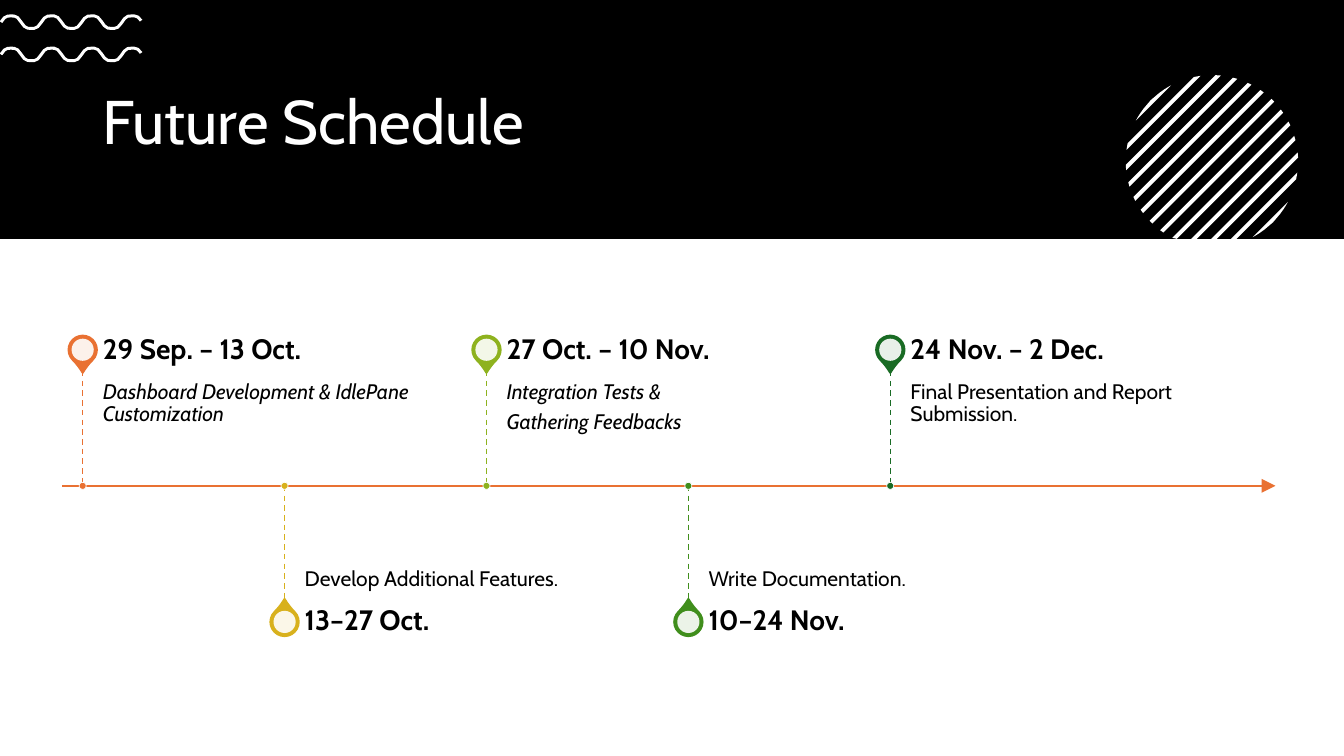
"""Build the Future Schedule timeline slide."""
import dataclasses
import math

import pptx
import pptx.dml.color
import pptx.enum.dml
import pptx.enum.shapes
import pptx.enum.text
import pptx.oxml.ns
import pptx.util
from lxml import etree
from pptx.util import Inches

ANCHOR = pptx.enum.text.MSO_ANCHOR
SHAPE = pptx.enum.shapes.MSO_SHAPE


@dataclasses.dataclass(frozen=True)
class Theme:
    """Hold the colours, font and type sizes of the slide."""
    font: str = "Cabin"
    black: str = "000000"
    white: str = "FFFFFF"
    axis: str = "E97132"
    title_size: int = 44
    date_size: int = 20
    body_size: int = 15


THEME = Theme()
AXIS_Y = 4.82
FIRST_X = 0.82
LAST_X = 8.83
BAND_HEIGHT = 2.37
MILESTONES = [
    ("29 Sep. – 13 Oct.", ["Dashboard Development & IdlePane Customization"], True, "E97132"),
    ("13–27 Oct.", ["Develop Additional Features."], False, "D8B11D"),
    ("27 Oct. – 10 Nov.", ["Integration Tests &", "Gathering Feedbacks"], True, "8EB21E"),
    ("10–24 Nov.", ["Write Documentation."], False, "408E1C"),
    ("24 Nov. – 2 Dec.", ["Final Presentation and Report Submission."], False, "196B24"),
]


def apply(target, values):
    """Set each named attribute on the target."""
    for name, value in values.items():
        setattr(target, name, value)


def rgb(code):
    """Turn a hex code into a colour."""
    return pptx.dml.color.RGBColor.from_string(code)


def add_effect(parent, tag, **attributes):
    """Append a DrawingML element to the parent."""
    return etree.SubElement(parent, pptx.oxml.ns.qn(tag), attributes)


def paint(shape, fill, line=None, width=1):
    """Give a shape a flat fill and an optional outline."""
    shape.shadow.inherit = False
    shape.fill.solid()
    shape.fill.fore_color.rgb = rgb(fill)
    if line:
        shape.line.color.rgb = rgb(line)
        shape.line.width = pptx.util.Pt(width)
    else:
        shape.line.fill.background()
    return shape


def add_centred(page, kind, x, y, size):
    """Add a square preset shape around a centre point."""
    return page.shapes.add_shape(
        kind, Inches(x - size / 2), Inches(y - size / 2), Inches(size), Inches(size))


def add_line(page, start, end, colour, width):
    """Add a straight connector without a shadow."""
    line = page.shapes.add_connector(
        pptx.enum.shapes.MSO_CONNECTOR.STRAIGHT, *map(Inches, start + end))
    line.line.color.rgb = rgb(colour)
    line.line.width = pptx.util.Pt(width)
    add_effect(line.element.spPr, "a:effectLst")
    return line


def add_outline(page, points):
    """Add a white closed outline through the points."""
    corners = [(Inches(x), Inches(y)) for x, y in points]
    builder = page.shapes.build_freeform(*corners[0])
    builder.add_line_segments(corners[1:], close=True)
    paint(builder.convert_to_shape(), THEME.white)


def write(box, lines, frame_format, font_format):
    """Fill a text frame with formatted paragraphs."""
    frame = box.text_frame
    apply(frame, {"word_wrap": True, **frame_format})
    for number, line in enumerate(lines):
        para = frame.add_paragraph() if number else frame.paragraphs[0]
        apply(para, {"alignment": pptx.enum.text.PP_ALIGN.LEFT, "line_spacing": 0.9,
                     "space_before": pptx.util.Pt(5.5 if number else 0)})
        span = para.add_run()
        span.text = line
        font = {"name": THEME.font, **font_format}
        colour = font.pop("colour", THEME.black)
        font["size"] = pptx.util.Pt(font["size"])
        apply(span.font, font)
        span.font.color.rgb = rgb(colour)


def add_text(page, place, lines, margins, anchor, font_format):
    """Add a text box with the given margins."""
    sides = ("margin_left", "margin_top", "margin_right", "margin_bottom")
    frame_format = dict(zip(sides, map(Inches, margins)), vertical_anchor=anchor)
    write(page.shapes.add_textbox(*map(Inches, place)), lines, frame_format, font_format)


def add_header(page):
    """Add the black band and the title on it."""
    title = page.shapes.title
    apply(title, {"left": Inches(0.92), "top": Inches(0.62),
                  "width": Inches(11.5), "height": Inches(1.23)})
    write(title, ["Future Schedule"], {"vertical_anchor": ANCHOR.MIDDLE},
          {"size": THEME.title_size, "colour": THEME.white})
    band = page.shapes.add_shape(
        SHAPE.RECTANGLE, 0, 0, Inches(13.33), Inches(BAND_HEIGHT))
    title.element.addprevious(paint(band, THEME.black).element)


def add_wave(page, middle):
    """Add a wavy ribbon of even thickness with rounded crests."""
    period, height, thickness, roundness, steps = 0.4, 0.07, 0.03, 0.12, 42
    upper, lower = [], []
    for step in range(steps + 1):
        x = 0.01 + 1.39 * step / steps
        angle = math.tau * (x - 0.11) / period
        y = middle - height * (math.cos(angle) - roundness * math.cos(3 * angle))
        slope = height * math.tau / period * (
            math.sin(angle) - 3 * roundness * math.sin(3 * angle))
        reach = thickness / 2 / math.hypot(1, slope)
        upper.append((x + slope * reach, y - reach))
        lower.append((x - slope * reach, y + reach))
    add_outline(page, upper + lower[::-1])


def add_striped_disc(page):
    """Add diagonal stripes clipped to a disc and to the band."""
    centre_x, centre_y, radius = 12.02, 1.6, 1.71 / 2
    gap, width, outermost = 0.79 / 4, 0.11 / 2, 6
    for number in range(-outermost, outermost + 1):
        steps = 4 if abs(number) == outermost else 1
        upper, lower = [], []
        for step in range(steps + 1):
            offset = number * gap + width * (step / steps - 0.5)
            total = centre_x + centre_y + offset
            chord = math.sqrt(max(0, 2 * radius ** 2 - offset ** 2))
            for side, sign in ((upper, -1), (lower, 1)):
                y = min(centre_y + (offset + sign * chord) / 2, BAND_HEIGHT)
                side.append((total - y, y))
        add_outline(page, upper + lower[::-1])


def add_axis(page):
    """Add the timeline arrow."""
    axis = add_line(page, (0.62, AXIS_Y), (12.65, AXIS_Y), THEME.axis, 1.5)
    add_effect(axis.line._get_or_add_ln(), "a:tailEnd", type="triangle", w="lg", len="lg")


def add_milestone(page, x, above, date, lines, italic, colour):
    """Add one pin with its date, description, stem and dot."""
    date_top, body_top, pin_y = (3.28, 3.68, 3.47) if above else (5.97, 4.81, 6.17)
    pin = paint(add_centred(page, SHAPE.TEAR, x, pin_y, 0.28), colour, colour, 1.5)
    pin.adjustments[0] = 1.15
    pin.rotation = 135 if above else 315
    core = paint(add_centred(page, SHAPE.OVAL, x, pin_y, 0.22), THEME.white)
    shade = core.element.spPr.find(".//" + pptx.oxml.ns.qn("a:srgbClr"))
    add_effect(shade, "a:alpha", val="90000")
    margins = (0, 0.1, 0.1, 0.16) if above else (0, 0.16, 0, 0.1)
    add_text(page, (x + 0.2, body_top, 3.33, 1.14), lines, margins,
             ANCHOR.TOP if above else ANCHOR.BOTTOM,
             {"size": THEME.body_size, "italic": italic})
    add_text(page, (x + 0.2, date_top, 3.33, 0.4), [date], (0, 0, 0.14, 0),
             ANCHOR.MIDDLE, {"size": THEME.date_size, "bold": True})
    ends = ((x, 3.68), (x, AXIS_Y)) if above else ((x, AXIS_Y), (x, 5.97))
    stem = add_line(page, *ends, colour, 1)
    stem.line.dash_style = pptx.enum.dml.MSO_LINE.DASH
    paint(add_centred(page, SHAPE.OVAL, x, AXIS_Y, 0.07), colour, THEME.white, 0.5)


def main():
    """Build and save the deck."""
    deck = pptx.Presentation()
    apply(deck, {"slide_width": Inches(13.33), "slide_height": Inches(7.5)})
    page = deck.slides.add_slide(deck.slide_layouts[5])
    add_header(page)
    for middle in (0.54, 0.22):
        add_wave(page, middle)
    add_striped_disc(page)
    add_axis(page)
    step = (LAST_X - FIRST_X) / (len(MILESTONES) - 1)
    for number, milestone in enumerate(MILESTONES):
        add_milestone(page, FIRST_X + number * step, number % 2 == 0, *milestone)
    deck.save("out.pptx")


if __name__ == "__main__":
    main()
